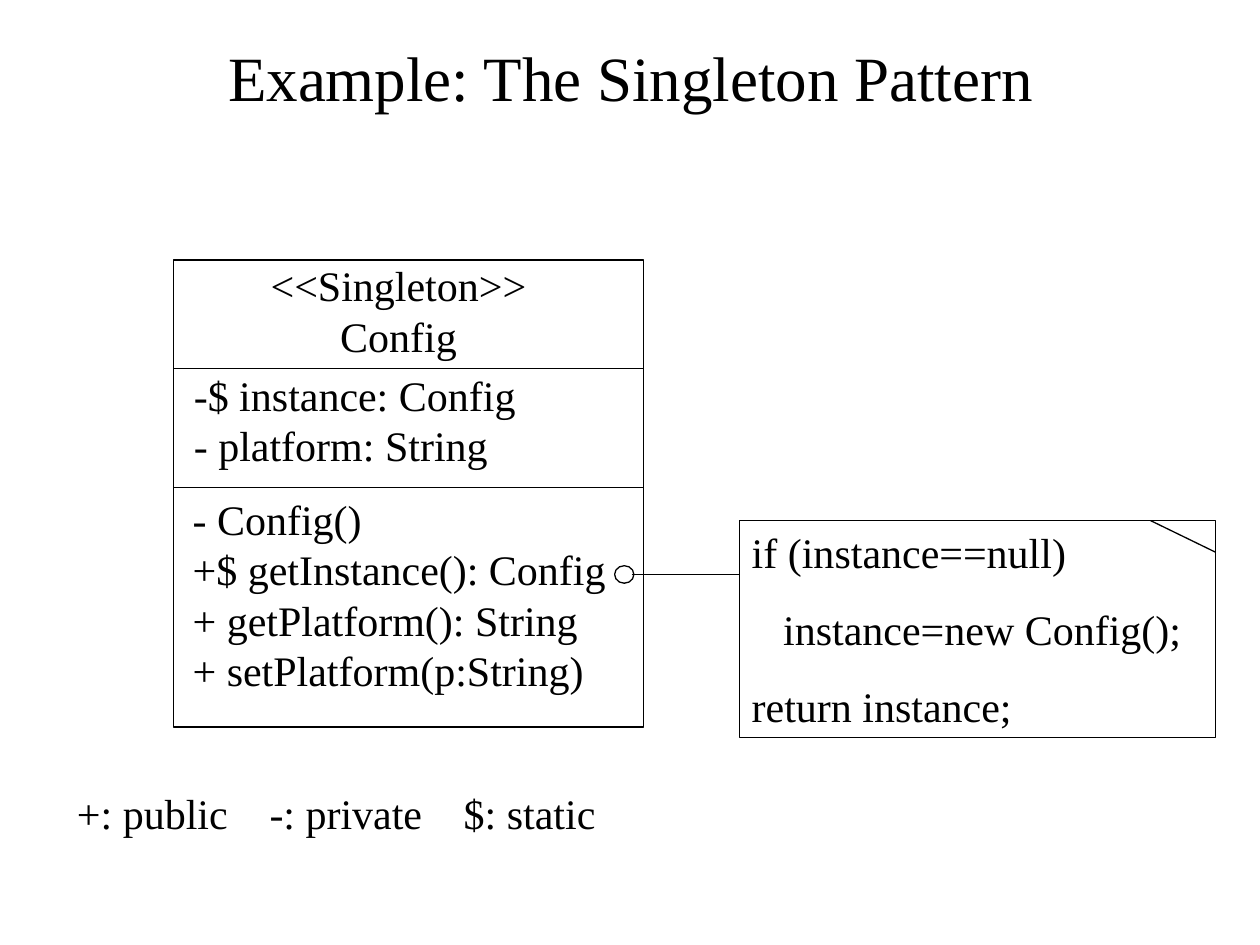
from dataclasses import dataclass
from lxml import etree
from pptx import Presentation
from pptx import util as u
from pptx.dml import color
from pptx.enum import shapes, text
from pptx.oxml import ns


@dataclass
class Theme:
    font: str = "Times New Roman"
    ink: color.RGBColor = color.RGBColor(0, 0, 0)
    head: float = 36
    body: float = 24
    lead: float = 28.8
    line: float = 0.75


class Sheet:
    def __init__(self, deck, theme):
        self.theme = theme
        self.slide = deck.slides.add_slide(deck.slide_layouts[5])

    def fill_in(self, frame, rows, size, align, pad=(7.2, 3.6), gap=0, lead=None):
        frame.word_wrap = True
        frame.auto_size = text.MSO_AUTO_SIZE.NONE
        frame.margin_left = frame.margin_right = u.Pt(pad[0])
        frame.margin_top = frame.margin_bottom = u.Pt(pad[1])
        for i, row in enumerate(rows):
            para = frame.add_paragraph() if i else frame.paragraphs[0]
            para.alignment = align
            para.space_before = u.Pt(gap if i else 0)
            if lead:
                para.line_spacing = u.Pt(lead)
            run = para.add_run()
            run.text = row
            run.font.name = self.theme.font
            run.font.size = u.Pt(size)
            run.font.color.rgb = self.theme.ink

    def title(self, words, box):
        item = self.slide.shapes.title
        item.left, item.top, item.width, item.height = map(u.Pt, box)
        self.fill_in(item.text_frame, [words], self.theme.head, text.PP_ALIGN.CENTER)
        item.text_frame.vertical_anchor = text.MSO_ANCHOR.MIDDLE

    def label(self, rows, box, align=text.PP_ALIGN.LEFT, **style):
        item = self.slide.shapes.add_textbox(*map(u.Pt, box))
        frame = item.text_frame
        frame.vertical_anchor = text.MSO_ANCHOR.TOP
        self.fill_in(frame, rows, self.theme.body, align, lead=self.theme.lead, **style)
        return frame

    def shape(self, kind, box):
        item = self.slide.shapes.add_shape(kind, *map(u.Pt, box))
        item.shadow.inherit = False
        item.fill.background()
        item.line.color.rgb = self.theme.ink
        item.line.width = u.Pt(self.theme.line)
        return item

    def note(self, rows, box, gap):
        frame = self.shape(shapes.MSO_SHAPE.RECTANGLE, box).text_frame
        frame.vertical_anchor = text.MSO_ANCHOR.TOP
        self.fill_in(frame, rows, self.theme.body, text.PP_ALIGN.LEFT,
                     gap=gap, lead=self.theme.lead)
        return frame

    def rule(self, *ends):
        item = self.slide.shapes.add_connector(
            shapes.MSO_CONNECTOR.STRAIGHT, *map(u.Pt, ends))
        item.line.color.rgb = self.theme.ink
        item.line.width = u.Pt(self.theme.line)
        etree.SubElement(item._element.spPr, ns.qn("a:effectLst"))

    def indent(self, para, size):
        para._p.get_or_add_pPr().set("marL", str(u.Pt(size)))

    def tabs(self, para, stops):
        group = etree.SubElement(para._p.get_or_add_pPr(), ns.qn("a:tabLst"))
        for stop in stops:
            etree.SubElement(group, ns.qn("a:tab"), pos=str(u.Pt(stop)), algn="l")


def main():
    deck = Presentation()
    deck.slide_width, deck.slide_height = u.Pt(720), u.Pt(540)
    sheet = Sheet(deck, Theme())
    sheet.title("Example: The Singleton Pattern", (16.5, 17.5, 688, 52))

    # Class box with its three parts
    left, wide = 99.25, 268.5
    sheet.shape(shapes.MSO_SHAPE.RECTANGLE, (left, 148.5, wide, 267))
    sheet.label(["<<Singleton>>", "Config"], (147.5, 145, 160.5, 65),
                text.PP_ALIGN.CENTER)
    sheet.label(["-$ instance: Config", "- platform: String"],
                (103.7, 207.5, wide, 65))
    sheet.label(["- Config()", "+$ getInstance(): Config",
                 "+ getPlatform(): String", "+ setPlatform(p:String)"],
                (103, 278.5, wide, 122.5))
    for y in (210.5, 278.75):
        sheet.rule(left, y, left + wide, y)

    # Code note with its folded corner
    x, y, w, h = 422.5, 297.5, 272, 124
    code = sheet.note(["if (instance==null)", "instance=new Config();",
                       "return instance;"], (x, y, w, h), gap=15)
    sheet.indent(code.paragraphs[1], 18)
    sheet.rule(x + w - 37, y, x + w, y + 18)

    # Link from method to note
    sheet.shape(shapes.MSO_SHAPE.OVAL, (351.25, 323.25, 11, 10))
    sheet.rule(361, 328.25, x, 328.25)

    # Legend
    key = sheet.label(["+: public\t-: private\t$: static"],
                      (44, 450, 320, 29), pad=(0, 0))
    sheet.tabs(key.paragraphs[0], (110, 221))

    deck.save("out.pptx")


if __name__ == "__main__":
    main()
